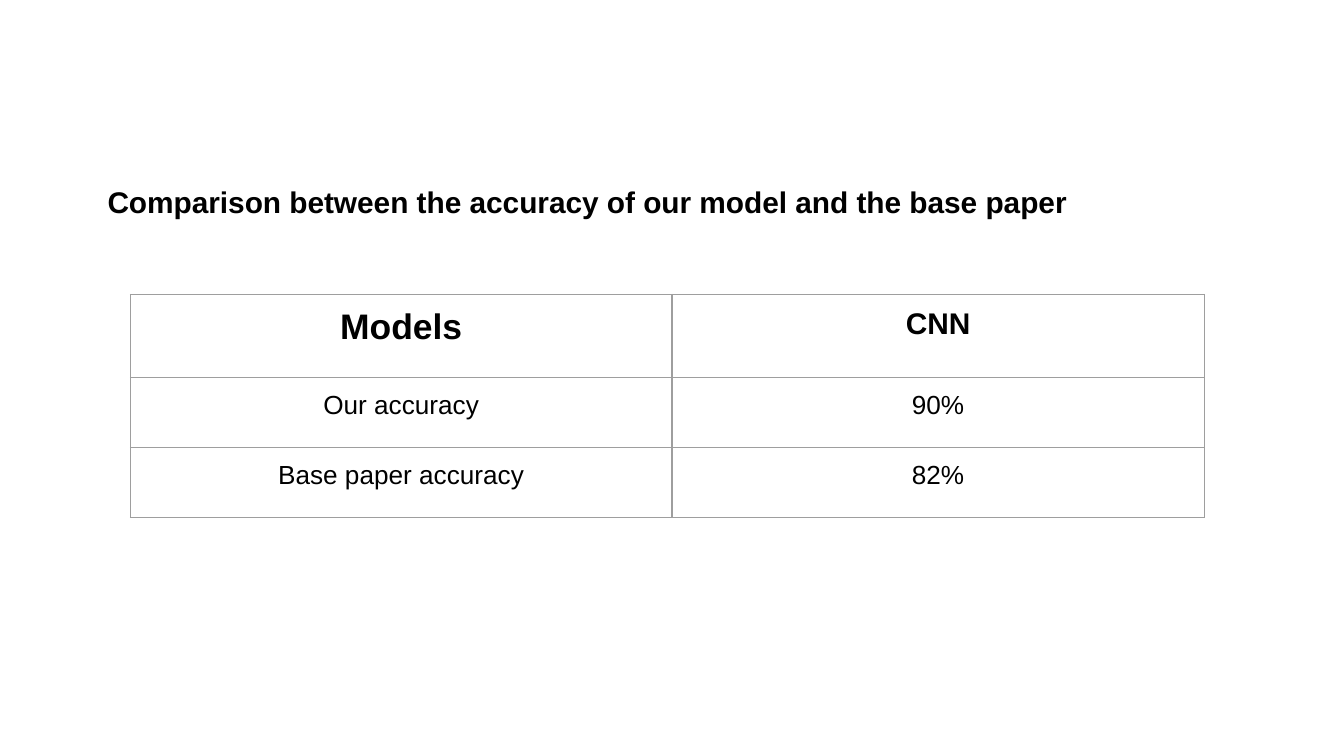
import pptx
import pptx.util
import pptx.dml.color
import pptx.enum.text
import pptx.oxml
import pptx.oxml.ns

Inches = pptx.util.Inches
Pt = pptx.util.Pt
RGBColor = pptx.dml.color.RGBColor
Align = pptx.enum.text.PP_ALIGN
Anchor = pptx.enum.text.MSO_ANCHOR

BLACK = RGBColor(0x00, 0x00, 0x00)
WHITE = RGBColor(0xFF, 0xFF, 0xFF)
GREY = RGBColor(0x9E, 0x9E, 0x9E)


def write(frame, text, size=14, bold=False, align=Align.LEFT, font="Arial", color=BLACK):
    para = frame.paragraphs[0]
    para.alignment = align
    run = para.add_run()
    run.text = text
    run.font.name = font
    run.font.size = Pt(size)
    run.font.bold = bold
    run.font.color.rgb = color


def border(cell, color, width):
    """Draw the same line on all four sides; call before the cell is filled."""
    props = cell._tc.get_or_add_tcPr()
    for side in ("lnL", "lnR", "lnT", "lnB"):
        props.append(pptx.oxml.parse_xml(
            f'<a:{side} {pptx.oxml.ns.nsdecls("a")} w="{Pt(width)}">'
            f'<a:solidFill><a:srgbClr val="{color}"/></a:solidFill></a:{side}>'))


class Deck:
    pad = Inches(0.1)
    line = 0.75

    def __init__(self, width, ratio):
        self.file = pptx.Presentation()
        self.file.slide_width = Inches(width)
        self.file.slide_height = Inches(width / ratio)
        self.slide = None

    def page(self):
        self.slide = self.file.slides.add_slide(self.file.slide_layouts[5])
        fill = self.slide.background.fill
        fill.solid()
        fill.fore_color.rgb = WHITE

    def inset(self, box):
        box.margin_left = box.margin_right = self.pad
        box.margin_top = box.margin_bottom = self.pad
        box.vertical_anchor = Anchor.TOP

    def title(self, text, left, top, width, height, **style):
        shape = self.slide.shapes.title
        shape.left, shape.top = Inches(left), Inches(top)
        shape.width, shape.height = Inches(width), Inches(height)
        frame = shape.text_frame
        frame.word_wrap = True
        frame.auto_size = pptx.enum.text.MSO_AUTO_SIZE.NONE
        self.inset(frame)
        write(frame, text, **style)

    def table(self, rows, left, top, widths, heights):
        """Each row is a list of (text, style) pairs."""
        grid = self.slide.shapes.add_table(
            len(heights), len(widths), Inches(left), Inches(top),
            Inches(sum(widths)), Inches(sum(heights))).table
        grid.first_row = grid.horz_banding = False
        for col, width in zip(grid.columns, widths):
            col.width = Inches(width)
        for row, height, items in zip(grid.rows, heights, rows):
            row.height = Inches(height)
            for cell, (text, style) in zip(row.cells, items):
                self.inset(cell)
                border(cell, GREY, self.line)
                cell.fill.background()
                write(cell.text_frame, text, align=Align.CENTER, **style)

    def save(self):
        self.file.save("out.pptx")


def main():
    deck = Deck(10, 16 / 9)
    deck.page()
    deck.title("Comparison between the accuracy of our model and the base paper",
               0.7, 1.27, 8.15, 0.71, size=16, bold=True)
    deck.table(
        [[("Models", {"size": 19, "bold": True}), ("CNN", {"size": 16, "bold": True})],
         [("Our accuracy", {}), ("90%", {})],
         [("Base paper accuracy", {}), ("82%", {})]],
        0.97, 2.19, widths=[4.03, 3.96], heights=[0.62, 0.52, 0.52])
    deck.save()


if __name__ == "__main__":
    main()
